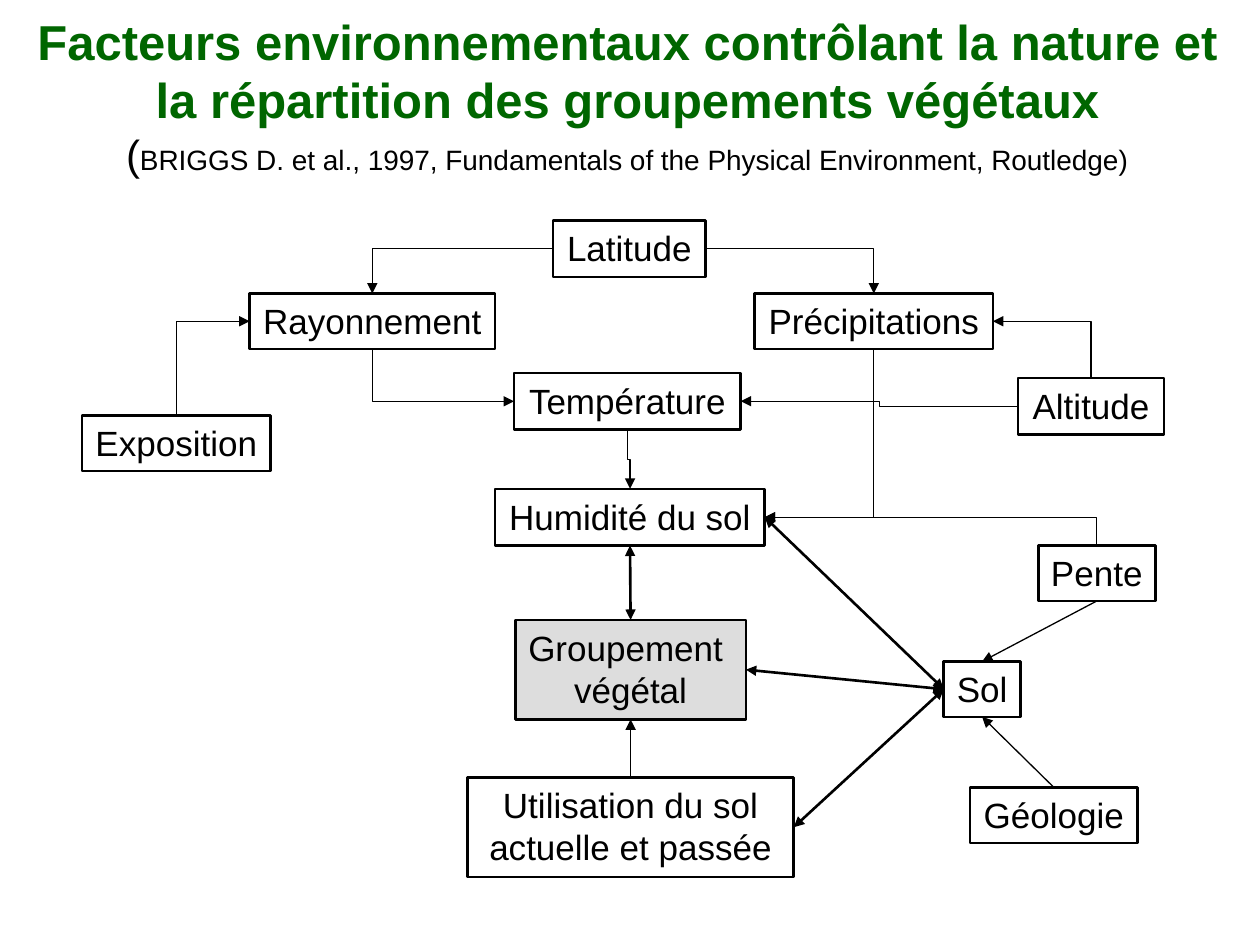
from pptx import Presentation
from pptx.dml.color import RGBColor
from pptx.enum.shapes import MSO_CONNECTOR as Route, MSO_SHAPE as Preset
from pptx.enum.text import MSO_ANCHOR as Anchor, MSO_AUTO_SIZE as Fit, PP_ALIGN as Align
from pptx.oxml.ns import qn
from pptx.oxml.xmlchemy import OxmlElement
from pptx.util import Inches, Pt

COLORS = {"ink": "000000", "title": "006600", "focus": "DDDDDD"}
COLUMNS, ROWS = 100, 75
SIDES = {"left": (0, 0.5), "right": (1, 0.5), "top": (0.5, 0), "bottom": (0.5, 1)}


def paint(name):
    return RGBColor.from_string(COLORS[name])


def write(para, text, size=20, color="ink", bold=False, font="Arial"):
    para.alignment = Align.CENTER
    span = para.add_run()
    span.text = text
    span.font.name = font
    span.font.size = Pt(size)
    span.font.bold = bold
    span.font.color.rgb = paint(color)
    return span


def anchor_point(box, side):
    across, down = SIDES[side]
    return box.left + across * box.width, box.top + down * box.height


class Diagram:
    def __init__(self, deck):
        self.page = deck.slides.add_slide(deck.slide_layouts[6])
        self.column = deck.slide_width / COLUMNS
        self.row = deck.slide_height / ROWS

    def area(self, left, top, width, height):
        return [round(share * unit) for share, unit in
                zip((left, top, width, height), (self.column, self.row) * 2)]

    def title(self, place, heading, opening, source):
        box = self.page.shapes.add_textbox(*self.area(*place))
        frame = box.text_frame
        frame.word_wrap = True
        frame.auto_size = Fit.NONE
        frame.vertical_anchor = Anchor.MIDDLE
        para = frame.paragraphs[0]
        write(para, heading, size=28, color="title", bold=True)
        para.add_line_break()
        write(para, opening, size=24)
        write(para, source, size=16)

    def factor(self, place, *lines, fill=None, wrap=False):
        box = self.page.shapes.add_shape(Preset.RECTANGLE, *self.area(*place))
        box.shadow.inherit = False
        box.line.color.rgb = paint("ink")
        box.line.width = Pt(1.5)
        if fill:
            box.fill.solid()
            box.fill.fore_color.rgb = paint(fill)
        else:
            box.fill.background()
        frame = box.text_frame
        frame.word_wrap = wrap
        frame.auto_size = Fit.SHAPE_TO_FIT_TEXT
        frame.vertical_anchor = Anchor.TOP
        for index, line in enumerate(lines):
            para = frame.add_paragraph() if index else frame.paragraphs[0]
            write(para, line)
        return box

    def link(self, start, start_side, end, end_side, bent=False, both=False):
        (x1, y1), (x2, y2) = anchor_point(start, start_side), anchor_point(end, end_side)
        turn = 0
        if bent and start_side in ("top", "bottom"):
            turn = 90 if (x2 - x1) * (y2 - y1) < 0 else 270
            sign = 1 if turn == 90 else -1
            middle_x, middle_y = (x1 + x2) / 2, (y1 + y2) / 2
            half_x, half_y = sign * (y2 - y1) / 2, sign * (x1 - x2) / 2
            x1, x2 = middle_x - half_x, middle_x + half_x
            y1, y2 = middle_y - half_y, middle_y + half_y
        route = Route.ELBOW if bent else Route.STRAIGHT
        arrow = self.page.shapes.add_connector(route, *map(round, (x1, y1, x2, y2)))
        properties = arrow._element.spPr
        if turn:
            properties.find(qn("a:xfrm")).set("rot", str(turn * 60000))
        one_corner = (start_side in ("left", "right")) != (end_side in ("left", "right"))
        if bent and one_corner:
            properties.find(qn("a:prstGeom")).set("prst", "bentConnector2")
        arrow.line.color.rgb = paint("ink")
        arrow.line.width = Pt(1.5 if both else 0.75)
        outline = properties.find(qn("a:ln"))
        for tag in ("a:headEnd", "a:tailEnd") if both else ("a:tailEnd",):
            tip = OxmlElement(tag)
            tip.set("type", "triangle")
            outline.append(tip)
        properties.append(OxmlElement("a:effectLst"))


def main():
    deck = Presentation()
    deck.slide_width, deck.slide_height = Inches(10), Inches(7.5)
    diagram = Diagram(deck)
    diagram.title(
        (0.8, 1.3, 98, 12.5),
        "Facteurs environnementaux contrôlant la nature et la répartition des groupements végétaux",
        "(", "BRIGGS D. et al., 1997, Fundamentals of the Physical Environment, Routledge)")

    factor, link = diagram.factor, diagram.link
    latitude = factor((43.9, 17.5, 12.1, 4.5), "Latitude")
    temperature = factor((40.8, 29.6, 18, 4.5), "Température")
    rainfall = factor((59.9, 23.3, 18.9, 4.4), "Précipitations")
    moisture = factor((39.3, 38.8, 21.4, 4.5), "Humidité du sol")
    radiation = factor((19.8, 23.3, 19.5, 4.4), "Rayonnement")
    exposure = factor((6.5, 33, 15, 4.4), "Exposition")
    vegetation = factor((40.9, 49.2, 18.3, 7.9), "Groupement ", "végétal", fill="focus")
    land_use = factor((37.1, 61.7, 25.9, 7.9), "Utilisation du sol actuelle et passée", wrap=True)
    slope = factor((82.4, 43.3, 9.3, 4.4), "Pente")
    soil = factor((74.9, 52.5, 6.1, 4.4), "Sol")
    geology = factor((77, 62.5, 13.3, 4.4), "Géologie")
    altitude = factor((80.8, 30, 11.6, 4.5), "Altitude")

    for ends in (
        (latitude, "left", radiation, "top"),
        (radiation, "bottom", temperature, "left"),
        (exposure, "top", radiation, "left"),
        (latitude, "right", rainfall, "top"),
        (rainfall, "bottom", moisture, "right"),
        (temperature, "bottom", moisture, "top"),
        (altitude, "top", rainfall, "right"),
        (altitude, "left", temperature, "right"),
        (slope, "top", moisture, "right"),
    ):
        link(*ends, bent=True)

    link(land_use, "top", vegetation, "bottom")
    for ends in (
        (moisture, "bottom", vegetation, "top"),
        (vegetation, "right", soil, "left"),
        (moisture, "right", soil, "left"),
        (land_use, "right", soil, "left"),
    ):
        link(*ends, both=True)
    link(geology, "top", soil, "bottom")
    link(slope, "bottom", soil, "top")

    deck.save("out.pptx")


if __name__ == "__main__":
    main()
